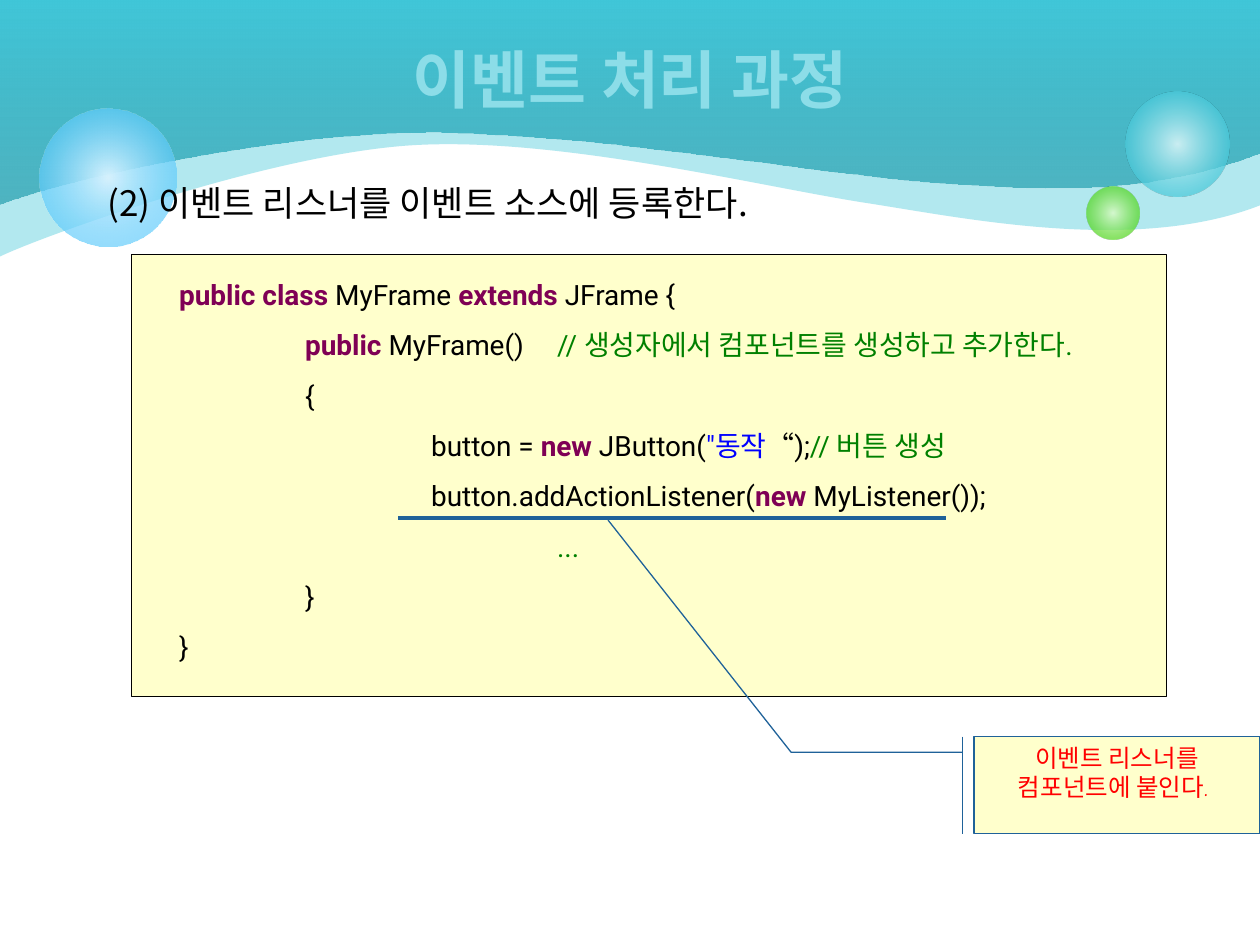
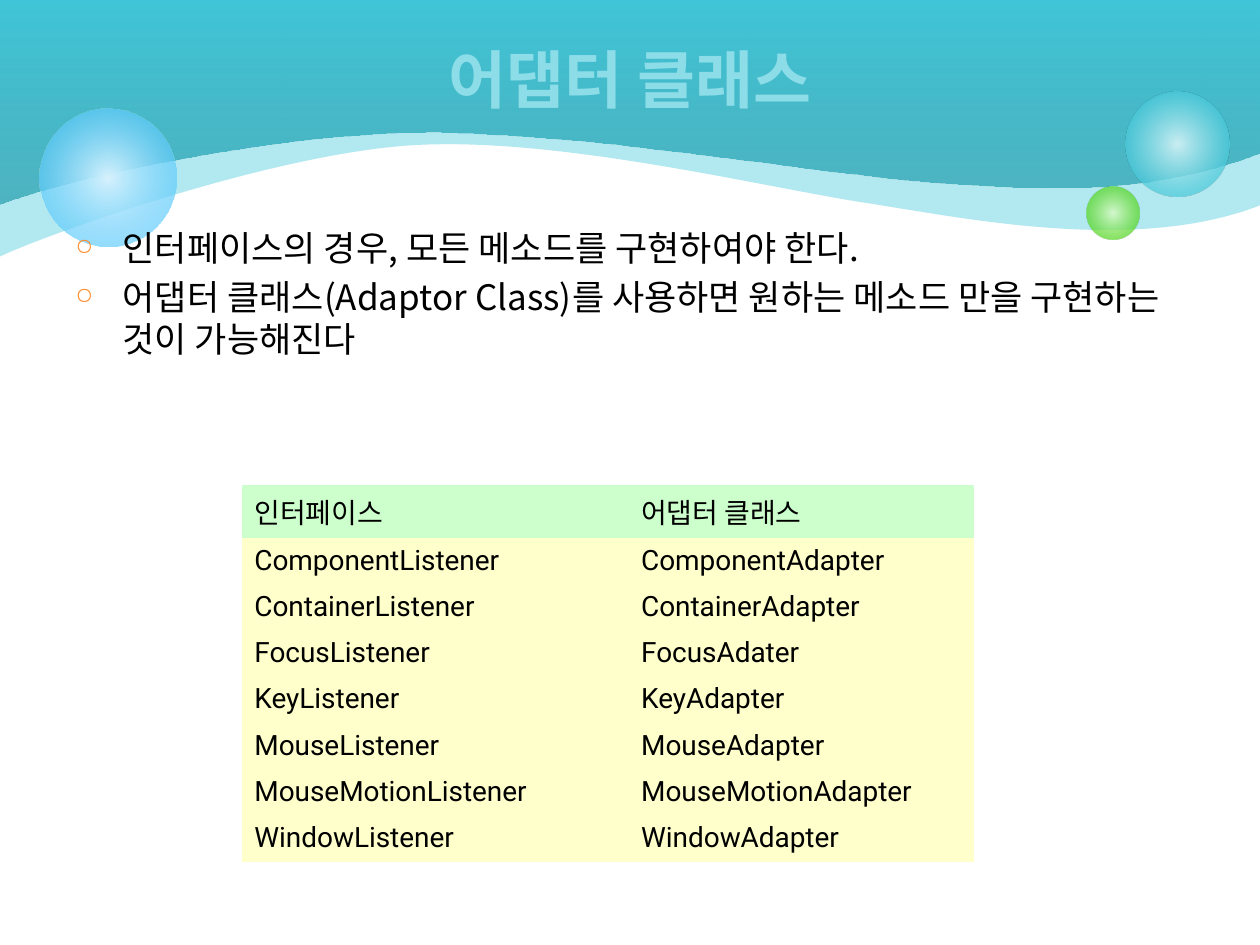
from dataclasses import dataclass
from typing import Any, Optional, Sequence

from lxml import etree
from pptx import Presentation
from pptx.dml.color import RGBColor
from pptx.enum import shapes, text
from pptx.oxml.ns import qn
from pptx.util import Pt

KOREAN = "Noto Sans CJK KR"
LATIN = "Roboto"
HAND = "Comic Neue"
BLACK, RED, STEEL = "000000", "FF0000", "1F6299"
KEYWORD, COMMENT, STRING = "7F0055", "008000", "0000FF"
CREAM, MINT, ORANGE = "FFFFCC", "CCFFCC", "FE8C2E"
AQUA, TITLE = "40C6D8", "8CDDE8"
NO_GRID = "{2D5ABB26-0587-4C30-8999-92F81FD0307C}"
HANGING = 27
TAB = 72


@dataclass(frozen=True)
class Stop:
    place: float
    colour: str
    opacity: int = 100


@dataclass(frozen=True)
class Wave:
    start: float
    curves: Sequence[tuple[float, float]]
    stops: Sequence[Stop]


@dataclass(frozen=True)
class Bubble:
    left: float
    top: float
    size: float
    stops: Sequence[Stop]


@dataclass(frozen=True)
class Span:
    words: str
    colour: str = BLACK
    bold: bool = False


@dataclass(frozen=True)
class Style:
    size: float
    font: str = KOREAN
    align: Optional[text.PP_ALIGN] = None
    spacing: Optional[float] = None
    before: float = 0
    margin: float = 0
    indent: float = 0
    bullet: str = ""


WAVES = (
    Wave(146.6, ((24, 135), (154, 88), (236, 83),
                 (319, 78), (436, 107), (495, 116),
                 (553, 125), (649, 145), (720, 117.4)),
         (Stop(0, AQUA, 40),)),
    Wave(116.8, ((32, 104), (146, 78), (235, 75.8),
                 (323, 73.4), (474, 100), (531, 104),
                 (587.5, 107.3), (649, 114.5), (720, 87.3)),
         (Stop(0, "249EAE", 69), Stop(1, AQUA))),
)
BUBBLES = (
    Bubble(643, 52.5, 59.8, (Stop(0, "D9F4F7", 90), Stop(0.76, AQUA, 70))),
    Bubble(620.7, 106.5, 30.4, (Stop(0, "DAFACD", 90), Stop(0.76, "4CD416", 70))),
    Bubble(22.4, 62, 78.6, (Stop(0, "D6F2FE"), Stop(1, "33BDFB", 54))),
)

TITLE_STYLE = Style(36, align=text.PP_ALIGN.CENTER)
STEP_STYLE = Style(20, spacing=0.8, before=4, margin=HANGING, indent=-HANGING)
POINT_STYLE = Style(20, spacing=1.0, before=4, margin=HANGING, indent=-HANGING,
                    bullet="○")
CODE_STYLE = Style(16, LATIN, spacing=1.5, margin=20)
NOTE_STYLE = Style(14, HAND, text.PP_ALIGN.CENTER)
CELL_STYLE = Style(16, LATIN, text.PP_ALIGN.JUSTIFY, margin=HANGING, indent=-HANGING)


def keyword(words: str) -> Span:
    return Span(words, KEYWORD, True)


CODE = (
    (keyword("public class "), Span("MyFrame "), keyword("extends "), Span("JFrame {")),
    (Span("\t"), keyword("public "), Span("MyFrame()\t"),
     Span("// 생성자에서 컴포넌트를 생성하고 추가한다.", COMMENT)),
    (Span("\t{"),),
    (Span("\t\tbutton = "), keyword("new "), Span("JButton("), Span('"동작', STRING),
     Span("“);"), Span("// 버튼 생성", COMMENT)),
    (Span("\t\tbutton.addActionListener("), keyword("new "), Span("MyListener());")),
    (Span("\t\t\t"), Span("...", COMMENT)),
    (Span("\t}"),),
    (Span("}"),),
)
ADAPTERS = (
    ("인터페이스", "어댑터 클래스"),
    ("ComponentListener", "ComponentAdapter"),
    ("ContainerListener", "ContainerAdapter"),
    ("FocusListener", "FocusAdater"),
    ("KeyListener", "KeyAdapter"),
    ("MouseListener", "MouseAdapter"),
    ("MouseMotionListener", "MouseMotionAdapter"),
    ("WindowListener", "WindowAdapter"),
)


def colour(code: str) -> RGBColor:
    return RGBColor.from_string(code)


def add_child(parent: Any, tag: str, **values: Any) -> Any:
    return etree.SubElement(parent, qn(tag), {k: str(v) for k, v in values.items()})


def paint(shape: Any, stops: Sequence[Stop], radial: bool = False) -> None:
    shape.shadow.inherit = False
    shape.line.fill.background()
    if len(stops) == 1:
        shape.fill.solid()
        shape.fill.fore_color.rgb = colour(stops[0].colour)
    else:
        shape.fill.gradient()
        shape.fill.gradient_angle = 90
        for target, stop in zip(shape.fill.gradient_stops, stops):
            target.position = stop.place
            target.color.rgb = colour(stop.colour)
    properties = shape._element.spPr
    for element, stop in zip(list(properties.iter(qn("a:srgbClr"))), stops):
        add_child(element, "a:alpha", val=stop.opacity * 1000)
    if radial:
        linear = next(properties.iter(qn("a:lin")))
        circle = etree.Element(qn("a:path"), {"path": "circle"})
        add_child(circle, "a:fillToRect", l=50000, t=50000, r=50000, b=50000)
        linear.getparent().replace(linear, circle)


def outline(shape: Any, fill: str, line: str) -> None:
    shape.shadow.inherit = False
    shape.fill.solid()
    shape.fill.fore_color.rgb = colour(fill)
    shape.line.color.rgb = colour(line)
    shape.line.width = Pt(0.75)


def write(frame: Any, lines: Sequence[Sequence[Span]], style: Style) -> None:
    frame.word_wrap = True
    for number, spans in enumerate(lines):
        para = frame.add_paragraph() if number else frame.paragraphs[0]
        para.alignment = style.align or text.PP_ALIGN.LEFT
        para.line_spacing = style.spacing
        para.space_before = Pt(style.before)
        properties = para._p.get_or_add_pPr()
        properties.set("marL", str(Pt(style.margin)))
        properties.set("indent", str(Pt(style.indent)))
        properties.set("defTabSz", str(Pt(TAB)))
        if style.bullet:
            holder = add_child(properties, "a:buClr")
            add_child(holder, "a:srgbClr", val=colour(ORANGE))
            add_child(properties, "a:buSzPct", val=65000)
            add_child(properties, "a:buChar", char=style.bullet)
        for span in spans:
            run = para.add_run()
            run.text = span.words
            run.font.size = Pt(style.size)
            run.font.name = style.font
            run.font.bold = span.bold
            run.font.color.rgb = colour(span.colour)


def add_text(page: Any, left: float, top: float, width: float, height: float,
             lines: Sequence[Sequence[Span]], style: Style) -> Any:
    box = page.shapes.add_textbox(Pt(left), Pt(top), Pt(width), Pt(height))
    write(box.text_frame, lines, style)
    return box


def draw_wave(page: Any, wave: Wave) -> None:
    builder = page.shapes.build_freeform(0, Pt(wave.start))
    corners = (*wave.curves, (720, 0), (0, 0))
    builder.add_line_segments([(Pt(x), Pt(y)) for x, y in corners], close=True)
    shape = builder.convert_to_shape()
    lines = list(shape._element.spPr.iter(qn("a:lnTo")))
    for first in range(0, len(wave.curves), 3):
        curve = etree.Element(qn("a:cubicBezTo"))
        lines[first].addprevious(curve)
        for line in lines[first:first + 3]:
            curve.append(line[0])
            line.getparent().remove(line)
    paint(shape, wave.stops)


def add_page(deck: Any) -> Any:
    page = deck.slides.add_slide(deck.slide_layouts[6])
    for wave in WAVES:
        draw_wave(page, wave)
    for bubble in BUBBLES:
        ball = page.shapes.add_shape(shapes.MSO_SHAPE.OVAL, Pt(bubble.left), Pt(bubble.top),
                                     Pt(bubble.size), Pt(bubble.size))
        paint(ball, bubble.stops, radial=True)
    return page


def add_title(page: Any, words: str) -> None:
    box = add_text(page, 36, 0, 648, 90, [[Span(words, TITLE, True)]], TITLE_STYLE)
    box.text_frame.vertical_anchor = text.MSO_ANCHOR.MIDDLE


def add_listener_page(deck: Any) -> None:
    page = add_page(deck)
    code = page.shapes.add_shape(shapes.MSO_SHAPE.RECTANGLE,
                                 Pt(75.3), Pt(145.5), Pt(591.3), Pt(252.4))
    outline(code, CREAM, BLACK)
    code.text_frame.vertical_anchor = text.MSO_ANCHOR.TOP
    write(code.text_frame, CODE, CODE_STYLE)
    add_title(page, "이벤트 처리 과정")
    add_text(page, 54.2, 105, 646.5, 27.5,
             [[Span("(2) 이벤트 리스너를 이벤트 소스에 등록한다.")]], STEP_STYLE)
    underline = page.shapes.add_connector(shapes.MSO_CONNECTOR.STRAIGHT,
                                          Pt(227.5), Pt(295.8), Pt(540.7), Pt(295.8))
    underline.line.color.rgb = colour(STEEL)
    underline.line.width = Pt(2.25)
    add_child(underline._element.spPr, "a:effectLst")
    note = page.shapes.add_shape(shapes.MSO_SHAPE.LINE_CALLOUT_2_BORDER_AND_ACCENT_BAR,
                                 Pt(556.6), Pt(421), Pt(163.4), Pt(55.5))
    for index, value in enumerate((0.16, -0.04, 0.16, -0.64, -2.23, -1.28)):
        note.adjustments[index] = value
    outline(note, CREAM, STEEL)
    note.text_frame.vertical_anchor = text.MSO_ANCHOR.TOP
    write(note.text_frame, [[Span("이벤트 리스너를 컴포넌트에 붙인다. ", RED)]], NOTE_STYLE)


def add_adapter_page(deck: Any) -> None:
    page = add_page(deck)
    add_title(page, "어댑터 클래스")
    add_text(page, 36, 126, 638, 367, [
        [Span("인터페이스의 경우, 모든 메소드를 구현하여야 한다.")],
        [Span("어댑터 클래스(Adaptor Class)를 사용하면 원하는 메소드 만을 "
              "구현하는 것이 가능해진다")],
    ], POINT_STYLE)
    widths = (221, 197.3)
    table = page.shapes.add_table(len(ADAPTERS), len(widths), Pt(138.2), Pt(277.2),
                                  Pt(sum(widths)), Pt(211)).table
    table._tbl.tblPr.find(qn("a:tableStyleId")).text = NO_GRID
    table.first_row = table.horz_banding = False
    table.rows[0].height = Pt(30.2)
    for column, width in zip(table.columns, widths):
        column.width = Pt(width)
    for row, names in enumerate(ADAPTERS):
        for column, name in enumerate(names):
            cell = table.cell(row, column)
            cell.fill.solid()
            cell.fill.fore_color.rgb = colour(CREAM if row else MINT)
            cell.vertical_anchor = text.MSO_ANCHOR.TOP if row else text.MSO_ANCHOR.MIDDLE
            write(cell.text_frame, [[Span(name)]], CELL_STYLE)


def main() -> None:
    deck = Presentation()
    deck.slide_width, deck.slide_height = Pt(720), Pt(540)
    add_listener_page(deck)
    add_adapter_page(deck)
    deck.save("out.pptx")


if __name__ == "__main__":
    main()
